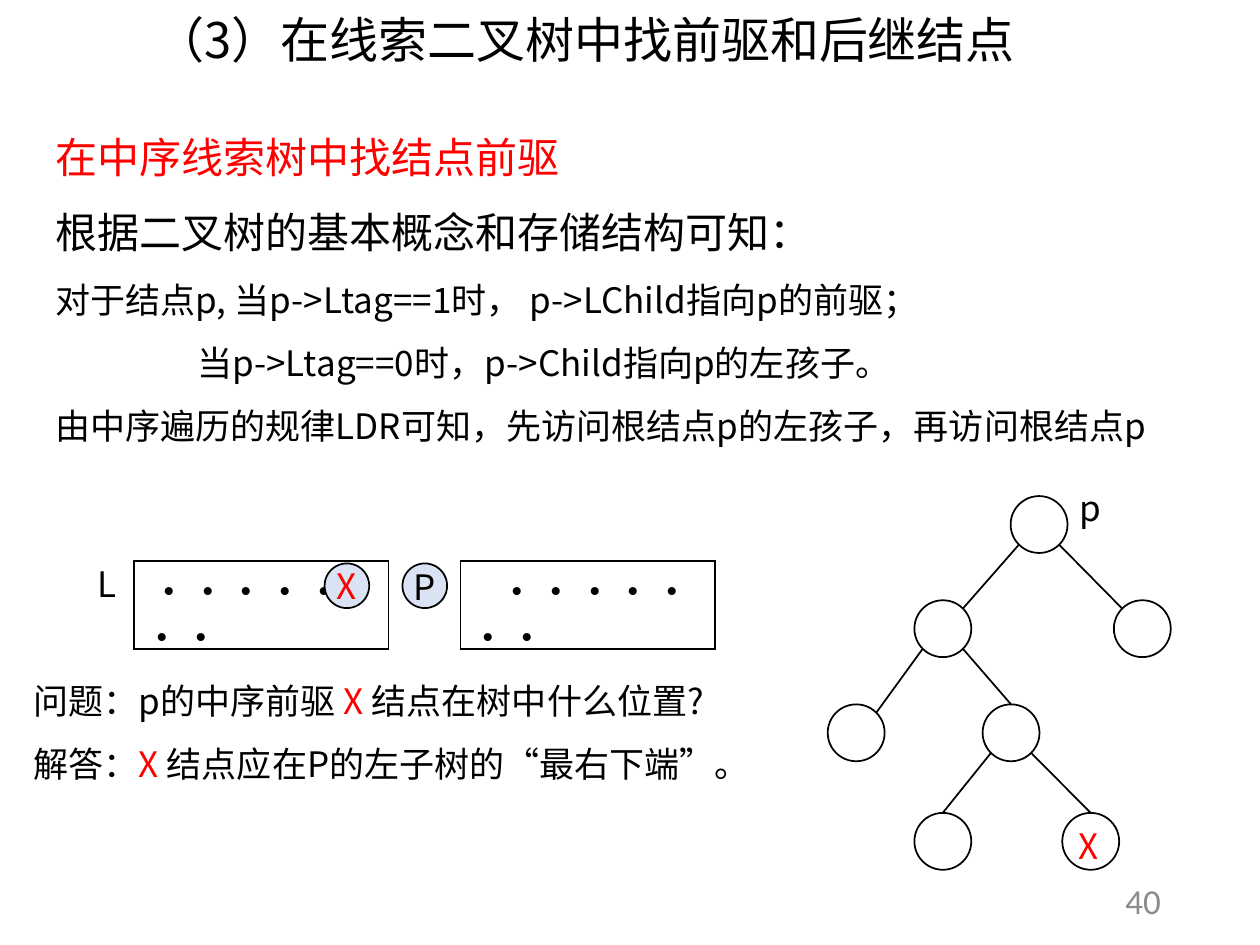
from dataclasses import dataclass
from lxml import etree
from pptx import Presentation
from pptx.dml.color import RGBColor
from pptx.enum import shapes, text
from pptx.oxml.ns import qn
from pptx.util import Pt


@dataclass
class Theme:
    cjk: str = "Noto Sans CJK SC"
    latin: str = "Calibri"
    black: RGBColor = RGBColor(0, 0, 0)
    red: RGBColor = RGBColor(255, 0, 0)
    gray: RGBColor = RGBColor(0x8C, 0x8C, 0x8C)
    white: RGBColor = RGBColor(255, 255, 255)
    pale: RGBColor = RGBColor(0xDA, 0xE3, 0xF3)
    title: int = 28
    heading: int = 24
    body: int = 20
    dots: int = 18


T = Theme()

prs = Presentation()
prs.slide_width, prs.slide_height = Pt(720), Pt(540)
s = prs.slides.add_slide(prs.slide_layouts[6])


def add_run(p, words, size=T.body, color=T.black, font=T.cjk):
    r = p.add_run()
    r.text = words
    r.font.size, r.font.name = Pt(size), font
    r.font.color.rgb = color
    etree.SubElement(r.font._element, qn("a:ea"), typeface=font)
    return r


def add_text(x, y, w, h, lines, spacing=None):
    sp = s.shapes.add_textbox(Pt(x), Pt(y), Pt(w), Pt(h))
    tf = sp.text_frame
    tf.word_wrap = True
    for i, runs in enumerate(lines):
        p = tf.paragraphs[0] if i == 0 else tf.add_paragraph()
        p.line_spacing = spacing
        for run in runs:
            add_run(p, *run)
    return tf


add_text(82, 2, 596, 41, [[("（3）在线索二叉树中找前驱和后继结点", T.title)]])

tf = add_text(24.5, 57, 680, 199.5, [
    [("在中序线索树中找结点前驱", T.heading, T.red)],
    [("根据二叉树的基本概念和存储结构可知：", T.heading)],
    [("对于结点p, 当p->Ltag==1时， p->LChild指向p的前驱；",)],
    [("当p->Ltag==0时，p->Child指向p的左孩子。",)],
    [("由中序遍历的规律LDR可知，先访问根结点p的左孩子，再访问根结点p",)],
], 1.5)
tf.paragraphs[3]._p.get_or_add_pPr().set("marL", str(Pt(81)))

add_text(12.2, 373, 434, 75.5, [
    [("问题：p的中序前驱 ",), ("X ", T.body, T.red), ("结点在树中什么位置?",)],
    [("解答：",), ("X ", T.body, T.red), ("结点应在P的左子树的“最右下端”。",)],
], 1.5)

for x, indent in ((76.5, 4), (263, 16.5)):
    tbl = s.shapes.add_table(1, 1, Pt(x), Pt(320.5), Pt(145.5), Pt(29.5)).table
    tbl.first_row = tbl.horz_banding = False
    cell = tbl.cell(0, 0)
    tcPr = cell._tc.get_or_add_tcPr()
    for side in ("lnL", "lnR", "lnT", "lnB"):
        ln = etree.SubElement(tcPr, qn(f"a:{side}"), w=str(Pt(1)))
        fill = etree.SubElement(ln, qn("a:solidFill"))
        etree.SubElement(fill, qn("a:srgbClr"), val=str(T.black))
    cell.fill.background()
    p = cell.text_frame.paragraphs[0]
    p._p.get_or_add_pPr().set("indent", str(Pt(indent)))
    add_run(p, "· · · · · · ·", T.dots).font.bold = True

d = 32.5
nodes = {
    "p": (577.5, 283.5),
    "left": (522.5, 343),
    "right": (636.5, 343),
    "left_left": (473, 402.5),
    "left_right": (561.5, 402.5),
    "inner": (522.5, 464.5),
    "x": (607, 464.5),
}
circles = [(x, y, d, d, T.white) for x, y in nodes.values()]
circles += [(x, 322, 25.5, 25.5, T.pale) for x in (185.5, 230)]
for x, y, w, h, color in circles:
    sp = s.shapes.add_shape(shapes.MSO_SHAPE.OVAL, Pt(x), Pt(y), Pt(w), Pt(h))
    sp.shadow.inherit = False
    sp.fill.solid()
    sp.fill.fore_color.rgb = color
    sp.line.color.rgb = T.black
    sp.line.width = Pt(1)

k = 11.5
edges = [
    ("p", "left", False), ("p", "right", False), ("left", "left_left", False),
    ("left", "left_right", True), ("left_right", "inner", True), ("left_right", "x", True),
]
for parent, child, to_top in edges:
    (px, py), (cx, cy) = [(x + d / 2, y + d / 2) for x, y in (nodes[parent], nodes[child])]
    dx = k if cx > px else -k
    end = (cx, cy - d / 2) if to_top else (cx - dx, cy - k)
    c = s.shapes.add_connector(shapes.MSO_CONNECTOR.STRAIGHT, Pt(px + dx), Pt(py + k),
                               Pt(end[0]), Pt(end[1]))
    c.line.color.rgb = T.black
    c.line.width = Pt(1)
    etree.SubElement(c._element.spPr, qn("a:effectLst"))

for x, y, label, color in (
    (610, 274.5, "p", T.black),
    (609.5, 467.5, "X", T.red),
    (229.5, 319.5, "P", T.black),
    (185.5, 319, "X", T.red),
    (48.5, 318, "L", T.black),
):
    add_text(x, y, 25, 31.5, [[(label, T.body, color)]])

tf = add_text(508.5, 500.5, 162, 28.5, [[("40", T.body, T.gray, T.latin)]])
tf.vertical_anchor = text.MSO_ANCHOR.MIDDLE
tf.paragraphs[0].alignment = text.PP_ALIGN.RIGHT

prs.save("out.pptx")
